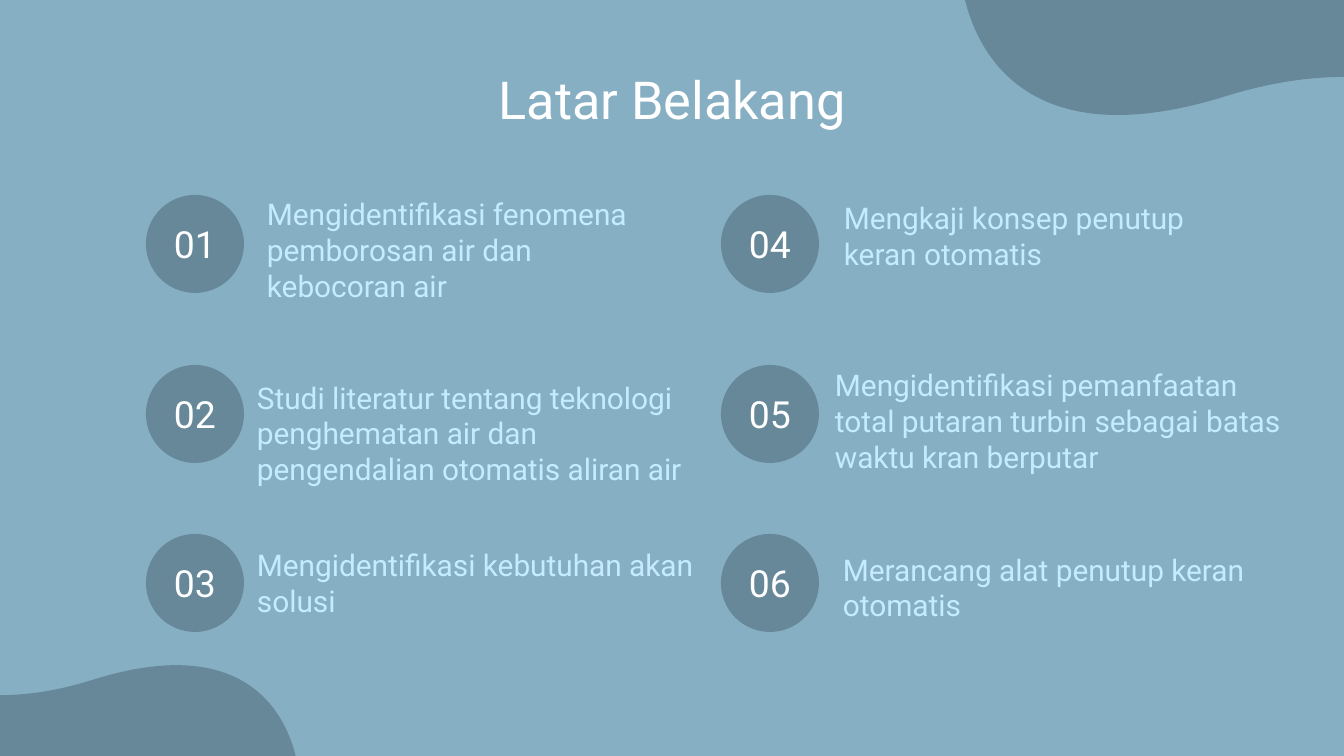
import lxml.etree
import pptx
import pptx.dml.color
import pptx.enum.shapes
import pptx.enum.text
import pptx.oxml.ns
import pptx.util

RGB = pptx.dml.color.RGBColor
SKY = RGB(0x87, 0xAF, 0xC3)
SLATE = RGB(0x66, 0x88, 0x99)
ICE = RGB(0xC4, 0xEB, 0xFF)
WHITE = RGB(0xFF, 0xFF, 0xFF)

WIDE, HIGH = 1344, 756
SCALE = pptx.util.Inches(10) / WIDE
LEFT = pptx.enum.text.PP_ALIGN.LEFT
MID = pptx.enum.text.PP_ALIGN.CENTER

# Wave measured from its slide corner: start point, then cubic curves or lines
START = (226, 115)
PARTS = [
    [(327, 115), (366, 52), (379, 0)],
    [(0, 0)],
    [(0, 77)],
    [(34, 77), (74, 82), (124, 98)],
    [(164, 110), (198, 115), START],
]

# Badges stand on a grid
COLS, ROWS, DISC = (146, 721), (195, 365, 534), 98

# Text, box and left inset of each item
ITEMS = [
    ("Mengidentifikasi fenomena\npemborosan air dan\nkebocoran air",
     (235, 195, 438, 109), 32),
    ("Studi literatur tentang teknologi penghematan air dan "
     "pengendalian otomatis aliran air", (176, 379, 556, 108), 81),
    ("Mengidentifikasi kebutuhan akan solusi", (243, 565, 469, 35), 14),
    ("Mengkaji konsep penutup keran otomatis", (831, 218, 409, 35), 13),
    ("Mengidentifikasi pemanfaatan total putaran turbin sebagai batas "
     "waktu kran berputar", (754, 366, 556, 109), 81),
    ("Merancang alat penutup keran\notomatis", (810, 570, 534, 34), 33),
]


def emu(*vals):
    return [round(val * SCALE) for val in vals]


def bend(shape):
    """Join the line steps of each curved part into one cubic curve."""
    name = pptx.oxml.ns.qn
    steps = list(shape.element.iter(name("a:lnTo")))
    for part in PARTS:
        group, steps = steps[:len(part)], steps[len(part):]
        if len(group) < 3:
            continue
        cubic = lxml.etree.Element(name("a:cubicBezTo"))
        group[0].addprevious(cubic)
        for step in group:
            cubic.append(step[0])
            step.getparent().remove(step)


class Deck:
    def __init__(self):
        self.prs = pptx.Presentation()
        self.prs.slide_width, self.prs.slide_height = emu(WIDE, HIGH)
        self.slide = self.prs.slides.add_slide(self.prs.slide_layouts[6])
        self.shapes = self.slide.shapes
        self.font = "Roboto"
        fill = self.slide.background.fill
        fill.solid()
        fill.fore_color.rgb = SKY

    def paint(self, shape):
        shape.shadow.inherit = False
        shape.fill.solid()
        shape.fill.fore_color.rgb = SLATE
        shape.line.fill.background()

    def wave(self, corner, grow):
        """Draw the wave at a corner; the signs of grow point inward."""
        spots = [START] + sum(PARTS, [])
        spots = [emu(*(c + g * v for c, g, v in zip(corner, grow, spot)))
                 for spot in spots]
        form = self.shapes.build_freeform(*spots[0])
        form.add_line_segments(spots[1:], close=False)
        shape = form.convert_to_shape()
        bend(shape)
        self.paint(shape)

    def text(self, words, box, size, color, align=LEFT, left=13, right=13):
        frame = self.shapes.add_textbox(*emu(*box)).text_frame
        left, right, edge = emu(left, right, 13)
        style = {
            "word_wrap": True,
            "vertical_anchor": pptx.enum.text.MSO_ANCHOR.MIDDLE,
            "margin_left": left, "margin_right": right,
            "margin_top": edge, "margin_bottom": edge,
        }
        for key, val in style.items():
            setattr(frame, key, val)
        frame.text = words
        for para in frame.paragraphs:
            para.alignment = align
            for run in para.runs:
                for key, val in {"name": self.font,
                                 "size": pptx.util.Pt(size)}.items():
                    setattr(run.font, key, val)
                run.font.color.rgb = color

    def badge(self, label, x, y):
        kind = pptx.enum.shapes.MSO_SHAPE.FLOWCHART_CONNECTOR
        self.paint(self.shapes.add_shape(kind, *emu(x, y, DISC, DISC)))
        self.text(label, (x + 9, y + 35, 80, 27), 20, WHITE, MID, 0, 0)


def main():
    deck = Deck()
    deck.wave((WIDE, 0), (-1, 1))
    deck.wave((0, HIGH), (0.78, -0.79))
    deck.text("Latar Belakang", (105, 79, 1134, 39), 28, WHITE, MID)
    for i, (words, box, left) in enumerate(ITEMS):
        col, row = divmod(i, 3)
        deck.badge(f"{i + 1:02}", COLS[col], ROWS[row])
        deck.text(words, box, 16, ICE, left=left)
    deck.prs.save("out.pptx")


if __name__ == "__main__":
    main()
